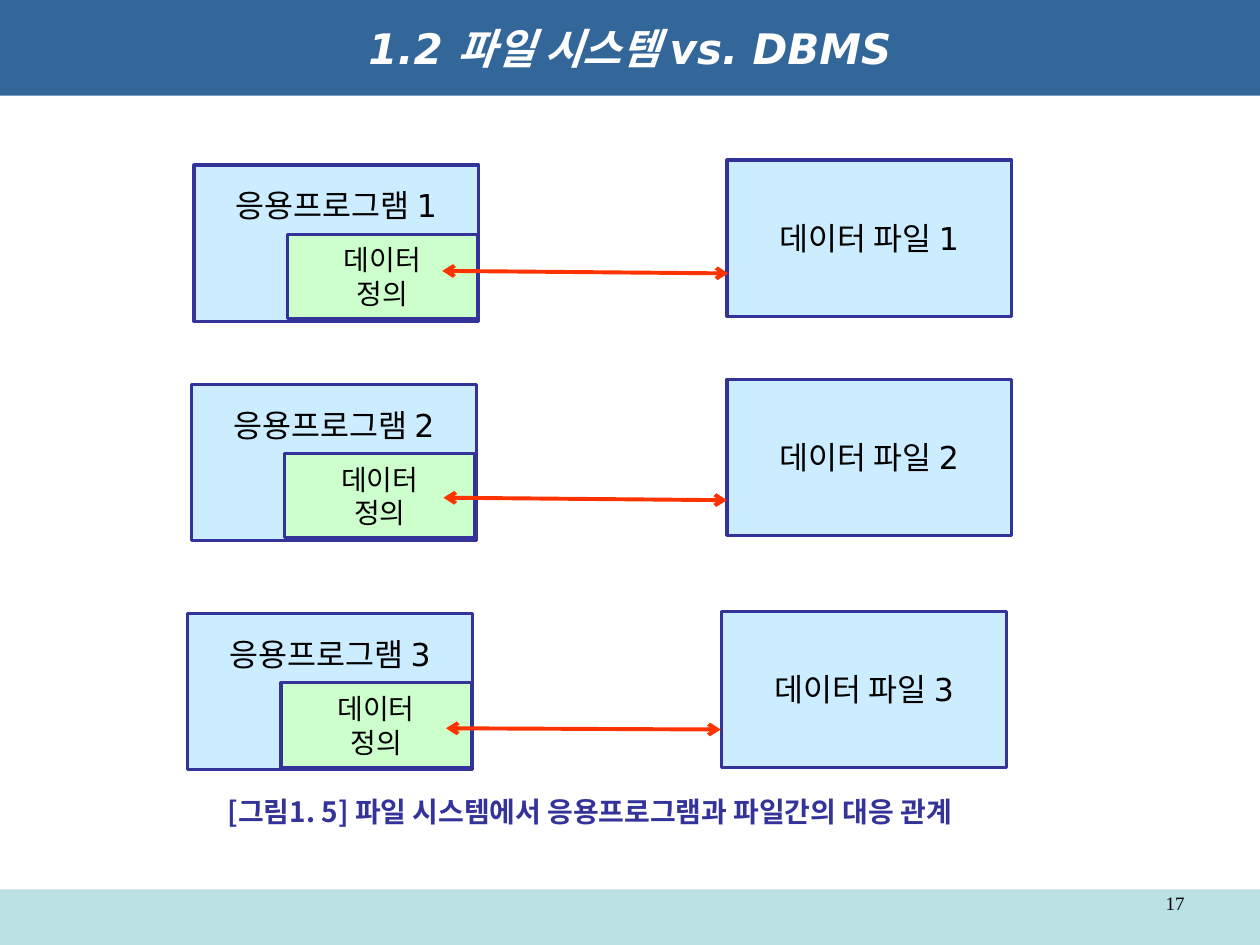
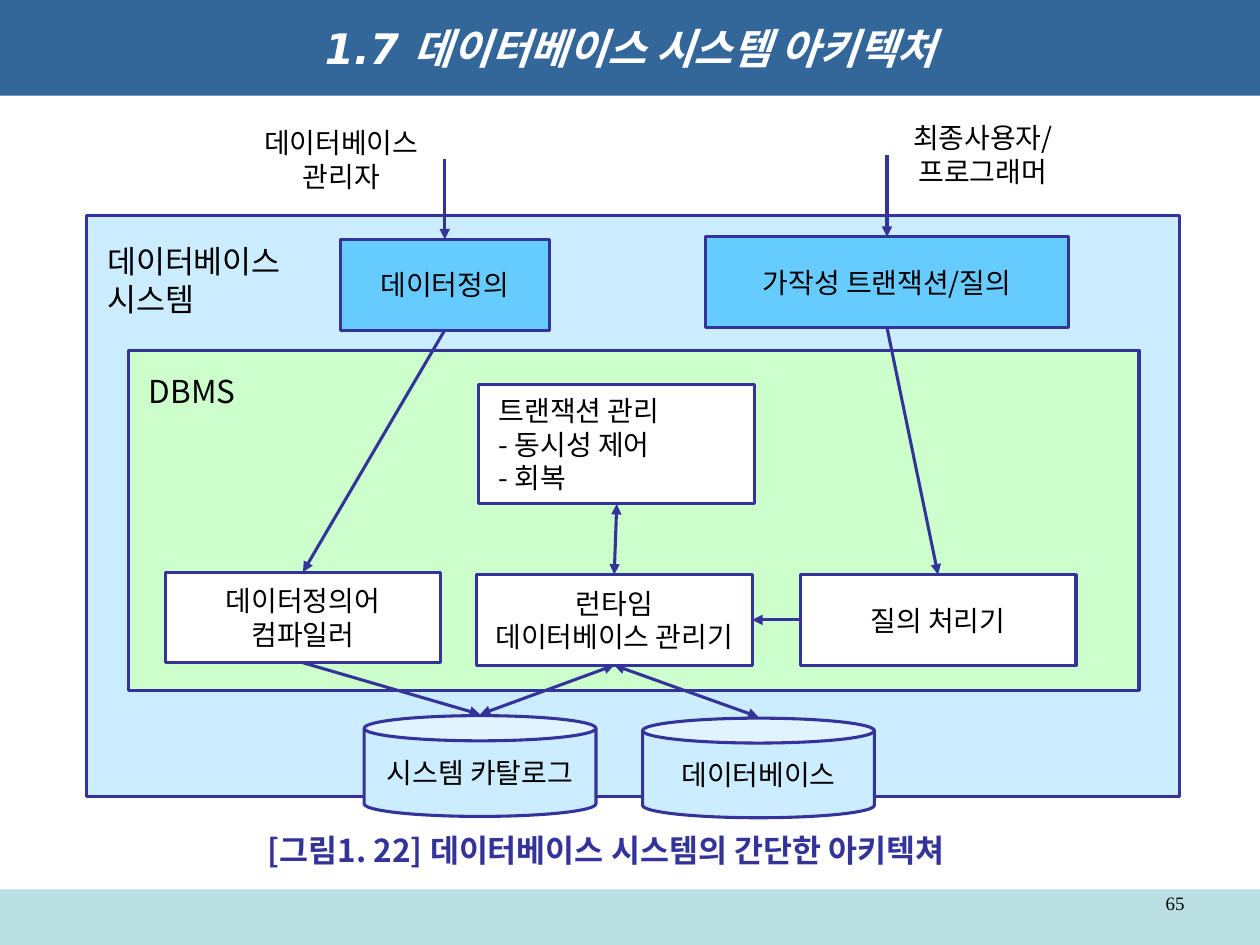
from dataclasses import dataclass

from lxml import etree
from pptx import Presentation
from pptx.dml.color import RGBColor
from pptx.enum.shapes import MSO_CONNECTOR, MSO_SHAPE
from pptx.enum.text import MSO_ANCHOR, MSO_AUTO_SIZE, PP_ALIGN
from pptx.oxml.ns import qn
from pptx.util import Inches, Pt

RECT, CAN = MSO_SHAPE.RECTANGLE, MSO_SHAPE.CAN
STRAIGHT = MSO_CONNECTOR.STRAIGHT
LEFT, CENTER, RIGHT = PP_ALIGN.LEFT, PP_ALIGN.CENTER, PP_ALIGN.RIGHT
JUSTIFY = PP_ALIGN.JUSTIFY
TOP, MIDDLE = MSO_ANCHOR.TOP, MSO_ANCHOR.MIDDLE
NO_FIT = MSO_AUTO_SIZE.NONE
TITLE_ONLY = 5
SIDE_TOP, SIDE_LEFT, SIDE_BOTTOM, SIDE_RIGHT = range(4)


@dataclass(frozen=True)
class Theme:
    # Colours
    title_band: str = "336699"
    footer_band: str = "BBE0E3"
    outline: str = "333399"
    pale_blue: str = "CCECFF"
    pale_green: str = "CCFFCC"
    bright_blue: str = "66CCFF"
    white: str = "FFFFFF"
    black: str = "000000"
    link: str = "FF3300"
    # Fonts
    heading_font: str = "DejaVu Sans"
    body_font: str = "Noto Sans CJK JP"
    korean_font: str = "Noto Sans CJK KR"
    number_font: str = "Times New Roman"
    # Sizes in points
    title_size: float = 24
    large: float = 18
    normal: float = 16
    number_size: float = 10.8
    outline_width: float = 1.75
    link_width: float = 2.25
    line_pitch: float = 1.2


THEME = Theme()


def rgb(code):
    return RGBColor.from_string(code)


def apply_format(target, values):
    for name, value in values.items():
        setattr(target, name, value)


def write_text(box, lines, size=THEME.normal, font=THEME.body_font,
               color=THEME.black, align=CENTER, anchor=MIDDLE,
               side=0.1, top=0.05, spacing=None, wrap=True, **style):
    """Fill a shape with one paragraph per line of text."""
    frame = box.text_frame
    apply_format(frame, {
        "auto_size": NO_FIT, "word_wrap": wrap, "vertical_anchor": anchor,
        "margin_left": Inches(side), "margin_right": Inches(side),
        "margin_top": Inches(top), "margin_bottom": Inches(0.05),
    })
    for index, line in enumerate(lines.split("\n")):
        para = frame.add_paragraph() if index else frame.paragraphs[0]
        apply_format(para, {
            "alignment": align,
            "line_spacing": spacing or Pt(size * THEME.line_pitch),
        })
        span = para.add_run()
        span.text = line
        apply_format(span.font, {"name": font, "size": Pt(size), **style})
        span.font.color.rgb = rgb(color)
        east_asian = etree.SubElement(span.font._element, qn("a:ea"))
        east_asian.set("typeface", THEME.korean_font)


def add_box(page, at, fill, lines="", kind=RECT, outlined=True, **text):
    box = page.shapes.add_shape(kind, *map(Inches, at))
    box.shadow.inherit = False
    box.fill.solid()
    box.fill.fore_color.rgb = rgb(fill)
    if outlined:
        box.line.color.rgb = rgb(THEME.outline)
        box.line.width = Pt(THEME.outline_width)
    else:
        box.line.fill.background()
    if lines:
        write_text(box, lines, **text)
    return box


def add_label(page, at, lines, **text):
    box = page.shapes.add_textbox(*map(Inches, at))
    write_text(box, lines, anchor=TOP, **text)


def add_caption(page, at, line, **text):
    add_label(page, at, line, font=THEME.korean_font, color=THEME.outline,
              bold=True, **text)


def add_arrow(page, start, end, both=False, head="triangle",
              color=THEME.outline, width=THEME.outline_width):
    """Draw an arrow; each end is a point (x, y) or a (shape, side) pair."""
    joined = [hasattr(item[0], "shape_id") for item in (start, end)]
    points = [(0, 0) if glued else item
              for item, glued in zip((start, end), joined)]
    arrow = page.shapes.add_connector(
        STRAIGHT, *(Inches(value) for point in points for value in point))
    if joined[0]:
        arrow.begin_connect(*start)
    if joined[1]:
        arrow.end_connect(*end)
    arrow.line.color.rgb = rgb(color)
    arrow.line.width = Pt(width)
    properties = arrow._element.spPr
    line = properties.find(qn("a:ln"))
    for tag in ("a:headEnd", "a:tailEnd") if both else ("a:tailEnd",):
        etree.SubElement(line, qn(tag)).set("type", head)
    etree.SubElement(properties, qn("a:effectLst"))


def add_page(deck, title, number):
    """Start a slide with its title band, footer band and page number."""
    page = deck.slides.add_slide(deck.slide_layouts[TITLE_ONLY])
    heading = page.shapes.title
    apply_format(heading, {"left": 0, "top": 0, "width": deck.slide_width,
                           "height": Inches(0.76)})
    heading.fill.solid()
    heading.fill.fore_color.rgb = rgb(THEME.title_band)
    write_text(heading, title, size=THEME.title_size, color=THEME.white,
               font=THEME.heading_font, bold=True, italic=True)
    add_box(page, (0, 7.06, 10, 0.44), THEME.footer_band, outlined=False)
    add_label(page, (7.17, 7.06, 2.33, 0.29), number, align=RIGHT,
              size=THEME.number_size, font=THEME.number_font, spacing=0.8)
    return page


def build_file_system(deck):
    page = add_page(deck, "1.2 파일 시스템 vs. DBMS", "17")
    width, height = 2.26, 1.24
    heading = {"size": THEME.large, "font": THEME.heading_font}
    # Program corner, file corner, arrow start and arrow end of each row
    rows = [
        ((1.54, 1.31), (5.77, 1.27), (3.51, 2.15), (5.78, 2.17)),
        ((1.52, 3.05), (5.77, 3.01), (3.52, 3.95), (5.77, 3.97)),
        ((1.49, 4.87), (5.73, 4.85), (3.54, 5.78), (5.72, 5.79)),
    ]
    for number, (program, data_file, start, end) in enumerate(rows, 1):
        left, top = program
        add_box(page, (left, top, width, height), THEME.pale_blue,
                f"응용프로그램 {number}", anchor=TOP, top=0.17, **heading)
        add_box(page, (left + 0.74, top + 0.55, 1.51, 0.67),
                THEME.pale_green, "데이터\n정의", font=THEME.heading_font)
        add_box(page, (*data_file, width, height), THEME.pale_blue,
                f"데이터 파일 {number}", **heading)
        add_arrow(page, start, end, both=True, head="arrow",
                  color=THEME.link, width=THEME.link_width)
    add_caption(page, (1.71, 6.26, 6.64, 0.37),
                "[그림1. 5] 파일 시스템에서 응용프로그램과 파일간의 대응 관계",
                align=JUSTIFY)


def build_architecture(deck):
    page = add_page(deck, "1.7 데이터베이스 시스템 아키텍처", "65")
    # Nested areas
    area = {"size": THEME.large, "align": LEFT, "anchor": TOP, "side": 0.16}
    add_box(page, (0.69, 1.71, 8.67, 4.61), THEME.pale_blue,
            "데이터베이스\n시스템", top=0.21, **area)
    add_box(page, (1.02, 2.78, 8.02, 2.7), THEME.pale_green, "DBMS",
            top=0.17, **area)

    # Stores
    add_box(page, (2.89, 5.68, 1.84, 0.8), THEME.pale_blue,
            "시스템 카탈로그", kind=CAN)
    add_box(page, (5.1, 5.7, 1.84, 0.79), THEME.pale_blue,
            "데이터베이스", kind=CAN)
    catalog_top, database_top = (3.81, 5.67), (6.02, 5.69)

    # Components
    width, height = 2.19, 0.72
    runtime = add_box(page, (3.78, 4.56, width, height), THEME.white,
                      "런타임\n데이터베이스 관리기")
    compiler = add_box(page, (1.31, 4.54, width, height), THEME.white,
                       "데이터정의어\n컴파일러")
    processor = add_box(page, (6.35, 4.56, width, height), THEME.white,
                        "질의 처리기")
    transactions = add_box(page, (3.8, 3.05, width, 0.95), THEME.white,
                           "트랜잭션 관리\n- 동시성 제어\n- 회복",
                           align=LEFT, side=0.16)
    definition = add_box(page, (2.7, 1.9, 1.66, height), THEME.bright_blue,
                         "데이터정의")
    query = add_box(page, (5.6, 1.88, 2.88, height), THEME.bright_blue,
                    "가작성 트랜잭션/질의")

    # People
    add_label(page, (1.91, 0.95, 1.6, 0.64), "데이터베이스\n관리자")
    add_label(page, (7.04, 0.91, 1.52, 0.64), "최종사용자/\n프로그래머")

    # Flows
    for start, end, both in [
        ((3.53, 1.26), (definition, SIDE_TOP), False),
        ((7.04, 1.23), (query, SIDE_TOP), False),
        ((definition, SIDE_BOTTOM), (compiler, SIDE_TOP), False),
        ((transactions, SIDE_BOTTOM), (runtime, SIDE_TOP), True),
        ((processor, SIDE_LEFT), (runtime, SIDE_RIGHT), False),
        ((query, SIDE_BOTTOM), (processor, SIDE_TOP), False),
        ((compiler, SIDE_BOTTOM), catalog_top, False),
        ((runtime, SIDE_BOTTOM), catalog_top, True),
        ((runtime, SIDE_BOTTOM), database_top, True),
    ]:
        add_arrow(page, start, end, both)
    add_caption(page, (1.27, 6.55, 7.08, 0.4),
                "[그림1. 22] 데이터베이스 시스템의 간단한 아키텍쳐",
                size=THEME.large)


def main():
    deck = Presentation()
    deck.slide_width, deck.slide_height = Inches(10), Inches(7.5)
    build_file_system(deck)
    build_architecture(deck)
    deck.save("out.pptx")


if __name__ == "__main__":
    main()
